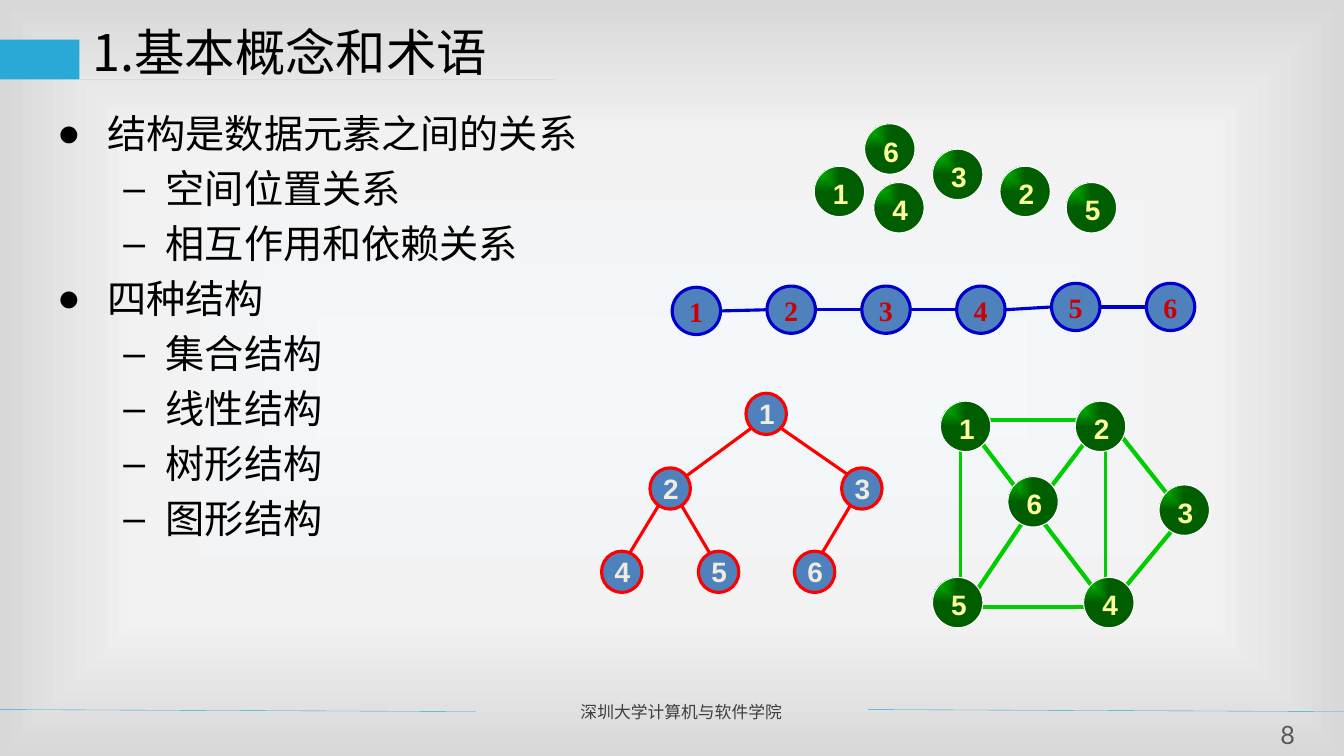
from lxml import etree
from pptx import Presentation, util as u
from pptx.dml.color import RGBColor
from pptx.enum import shapes, text
from pptx.oxml.ns import qn

TITLE = "1.基本概念和术语"
FOOTER = "深圳大学计算机与软件学院"
CJK, BODY = "Noto Sans CJK SC", "Lato"
OUTLINE = [
    (0, "结构是数据元素之间的关系"),
    (1, "空间位置关系"),
    (1, "相互作用和依赖关系"),
    (0, "四种结构"),
    (1, "集合结构"),
    (1, "线性结构"),
    (1, "树形结构"),
    (1, "图形结构"),
]
LEVELS = [("●", 1.27, 1.27, CJK), ("–", 2.74, 1.07, BODY)]
ORNAMENT = [(2.08, 1.17), (2.11, 1.17), (2.11, 2.31), (13.72, 2.31), (13.72, 2.34), (1.96, 2.34),
            (1.96, 1.22), (1.5, 1.22), (1.5, 2.34), (0.48, 2.34), (0.48, 1.17), (0.81, 1.17),
            (0.81, 2.29), (1.24, 2.29), (1.24, 1.17)]
FOOTER_RULES = [(0, 17.88, 11.99, 17.93), (21.87, 17.88, 33.86, 17.93)]

BACKDROP = [(0, "F4F8FB"), (63, "F2F2F2"), (100, "D8D8D8")]
GREEN_BALL = [(0, "00CC00"), (100, "005E00")]
GREEN = dict(size=(1.27, 1.27), fill=GREEN_BALL, line="FFFFFF", weight=0.75,
             label=(0.22, 0.13, 0.89, 1.12), font="Arial", color="FFFF99", inset=0.13)
RED = dict(size=(1.02, 1.04), fill="4F81BD", line="FF0000", weight=2.25,
           label=(0.08, 0.09, 0.89, 0.86), font="Arial", color="EEECE1", inset=0)
BLUE = dict(size=(1.22, 1.19), fill="4F81BD", line="0000CC", weight=2.25,
            label=(0.18, 0.15, 0.86, 1.02), font="Times New Roman", color="CC0000",
            inset=0.13, spacing=0.9)

SET_NODES = [(20.52, 4.19), (25.2, 4.19), (23.5, 3.76), (22.02, 4.6), (26.87, 4.6), (21.79, 3.12)]
CHAIN_TOPS = [7.24, 7.21, 7.21, 7.21, 7.14, 7.14]
CHAIN_LEFT, CHAIN_PITCH = 16.94, 2.39
TREE_NODES = [(18.8, 9.91), (16.38, 11.79), (21.21, 11.79),
              (15.16, 13.89), (17.6, 13.89), (20.02, 13.89)]
TREE_EDGES = [(19.61, 10.74, 21.41, 11.99), (19, 10.74, 16.99, 12.22), (16.99, 12.42, 17.98, 14.1),
              (21.62, 12.42, 20.62, 14.1), (16.79, 12.42, 15.77, 14.1)]
GRAPH_NODES = [(23.7, 10.11), (27.1, 10.11), (29.21, 12.22),
               (27.31, 14.55), (23.5, 14.55), (25.4, 12.01)]
GRAPH_EDGES = [(27.53, 10.9, 26.37, 12.42), (29.69, 13.18, 28.19, 14.99),
               (25.86, 13.03, 24.54, 14.99), (26.19, 13.03, 27.69, 14.99),
               (24.21, 11.05, 24.21, 14.83), (24.71, 15.29, 27.36, 15.29),
               (24.71, 10.59, 27.36, 10.59), (28.19, 10.9, 29.51, 12.57),
               (24.54, 10.9, 25.7, 12.42), (27.86, 11.05, 27.86, 14.83)]


def rgb(value):
    """Turn a hex string into a colour."""
    return RGBColor.from_string(value)


def cm(*lengths):
    """Turn centimetres into slide lengths."""
    return [u.Cm(length) for length in lengths]


def fill_gradient(fill, element, stops, focus):
    """Fill with a rectangular gradient around a focus (left, top, right, bottom)."""
    fill.solid()
    solid = next(element.iter(qn("a:solidFill")))
    gradient = etree.SubElement(solid.getparent(), qn("a:gradFill"), rotWithShape="1")
    stop_list = etree.SubElement(gradient, qn("a:gsLst"))
    for position, color in stops:
        stop = etree.SubElement(stop_list, qn("a:gs"), pos=str(position * 1000))
        etree.SubElement(stop, qn("a:srgbClr"), val=color)
    route = etree.SubElement(gradient, qn("a:path"), path="rect")
    sides = {side: str(share * 1000) for side, share in zip("ltrb", focus)}
    etree.SubElement(route, qn("a:fillToRect"), **sides)
    solid.getparent().replace(solid, gradient)


def style_span(para, size, font, color, bold=False):
    """Format the runs of a paragraph."""
    for span in para.runs:
        span.font.size, span.font.name, span.font.bold = u.Pt(size), font, bold
        span.font.color.rgb = rgb(color)
        east = etree.SubElement(span.font._element, qn("a:ea"))
        east.set("typeface", CJK)


def add_text(page, place, words, size, font, color, bold=False, wrap=True, inset=(0.25, 0.13),
             align=text.PP_ALIGN.LEFT, anchor=text.MSO_ANCHOR.TOP):
    """Add a text box with one paragraph."""
    frame = page.shapes.add_textbox(*cm(*place)).text_frame
    frame.word_wrap, frame.vertical_anchor = wrap, anchor
    frame.margin_left = frame.margin_right = u.Cm(inset[0])
    frame.margin_top = frame.margin_bottom = u.Cm(inset[1])
    para = frame.paragraphs[0]
    para.text, para.alignment = words, align
    style_span(para, size, font, color, bold)
    return frame


def add_line(page, ends, color, weight):
    """Add a straight line without a shadow."""
    line = page.shapes.add_connector(shapes.MSO_CONNECTOR.STRAIGHT, *cm(*ends))
    line.line.color.rgb, line.line.width = rgb(color), u.Pt(weight)
    etree.SubElement(line._element.spPr, qn("a:effectLst"))


def add_nodes(page, corners, look):
    """Add numbered round nodes."""
    for number, (left, top) in enumerate(corners, 1):
        node = page.shapes.add_shape(shapes.MSO_SHAPE.OVAL, *cm(left, top, *look["size"]))
        node.shadow.inherit = False
        if isinstance(look["fill"], str):
            node.fill.solid()
            node.fill.fore_color.rgb = rgb(look["fill"])
        else:
            fill_gradient(node.fill, node._element.spPr, look["fill"], (0, 0, 100, 100))
        node.line.color.rgb, node.line.width = rgb(look["line"]), u.Pt(look["weight"])
        dx, dy, width, height = look["label"]
        frame = add_text(page, (left + dx, top + dy, width, height), str(number), 20, look["font"],
                         look["color"], bold=True, wrap=False, inset=(0.25, look["inset"]))
        frame.paragraphs[0].line_spacing = look.get("spacing")


def add_outline(page):
    """Add the two-level bulleted list."""
    frame = page.shapes.add_textbox(*cm(1.19, 2.64, 30.81, 14.3)).text_frame
    frame.word_wrap = True
    for index, (level, words) in enumerate(OUTLINE):
        para = frame.add_paragraph() if index else frame.paragraphs[0]
        mark, margin, hanging, font = LEVELS[level]
        para.text, para.level = words, level
        if index:
            para.space_before = u.Pt(5.6)
        props = para._p.get_or_add_pPr()
        props.set("marL", str(u.Cm(margin)))
        props.set("indent", str(-u.Cm(hanging)))
        etree.SubElement(props, qn("a:buFont"), typeface="Arial")
        etree.SubElement(props, qn("a:buChar"), char=mark)
        style_span(para, 28, font, "000000")


def add_ornament(page):
    """Add the title ornament and its underline."""
    builder = page.shapes.build_freeform(*ORNAMENT[0], scale=u.Cm(1))
    builder.add_line_segments(ORNAMENT[1:], close=True)
    ornament = builder.convert_to_shape()
    ornament.shadow.inherit = False
    ornament.fill.solid()
    ornament.fill.fore_color.rgb = rgb("28A9D6")
    ornament.line.fill.background()


def main():
    """Build the slide on data structure terms."""
    deck = Presentation()
    deck.slide_width, deck.slide_height = cm(33.87, 19.05)
    page = deck.slides.add_slide(deck.slide_layouts[6])
    fill_gradient(page.background.fill, page._element, BACKDROP, (50, 50, 50, 50))

    add_ornament(page)
    for ends in FOOTER_RULES:
        add_line(page, ends, "28A9D6", 0.25)
    add_text(page, (14.38, 17.55, 7.24, 0.76), FOOTER, 12, BODY, "3F3F3F",
             align=text.PP_ALIGN.JUSTIFY)
    add_outline(page)
    add_text(page, (2.08, 0.41, 30.48, 2.21), TITLE, 36, CJK, "000000")
    add_text(page, (31.7, 18.11, 1.5, 0.79), "8", 18, BODY, "595959", inset=(0, 0),
             align=text.PP_ALIGN.CENTER, anchor=text.MSO_ANCHOR.MIDDLE)

    add_nodes(page, SET_NODES, GREEN)

    chain = [(CHAIN_LEFT + CHAIN_PITCH * i, top) for i, top in enumerate(CHAIN_TOPS)]
    width, height = BLUE["size"]
    for (left, top), (next_left, next_top) in zip(chain, chain[1:]):
        ends = (left + width, top + height / 2, next_left, next_top + height / 2)
        add_line(page, ends, BLUE["line"], 2.25)
    add_nodes(page, chain, BLUE)

    for ends in TREE_EDGES:
        add_line(page, ends, RED["line"], 2.25)
    add_nodes(page, TREE_NODES, RED)

    for ends in GRAPH_EDGES:
        add_line(page, ends, "00CC00", 2.25 if ends[0] == ends[2] else 3)
    add_nodes(page, GRAPH_NODES, GREEN)
    deck.save("out.pptx")


if __name__ == "__main__":
    main()
